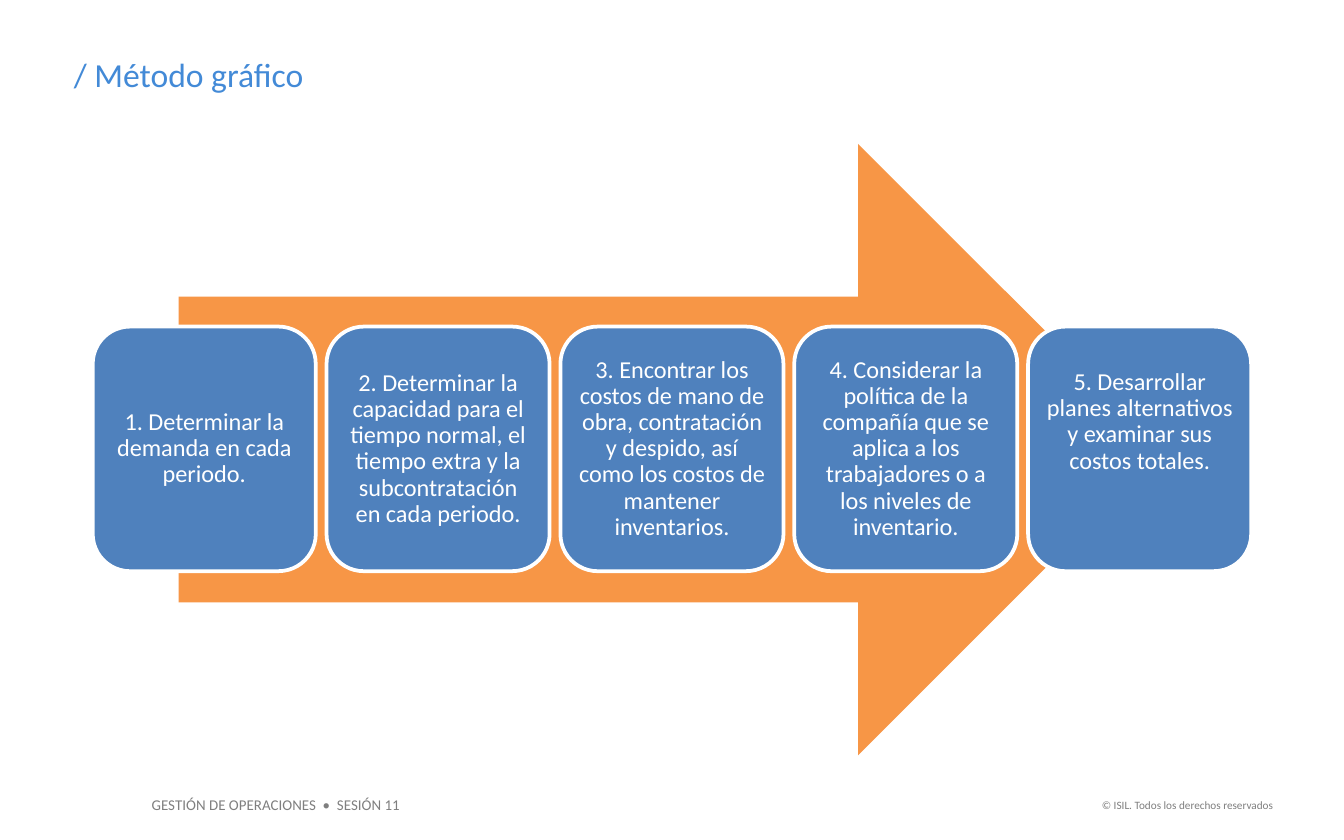
"""Build the graphic-method slide: five steps along a wide arrow."""
import pptx
import pptx.util
from pptx.dml.color import RGBColor
from pptx.enum.shapes import MSO_SHAPE
from pptx.enum.text import MSO_ANCHOR, PP_ALIGN

WHITE = RGBColor(0xFF, 0xFF, 0xFF)
GRAY = RGBColor(0x7F, 0x7F, 0x7F)
TITLE_BLUE = RGBColor(0x43, 0x8A, 0xD7)
STEP_BLUE = RGBColor(0x4F, 0x81, 0xBD)
ORANGE = RGBColor(0xF7, 0x96, 0x46)

WIDTH, HEIGHT = 10, 6.25
STEP_LEFT, STEP_TOP, STEP_WIDTH, STEP_HEIGHT = 0.69, 2.43, 1.66, 1.82
STEP_PITCH = 1.74
STEP_INSET, LAST_STEP_LIFT = 0.05, 0.4

STEPS = [
    "1. Determinar la demanda en cada periodo.",
    "2. Determinar la capacidad para el tiempo normal, el tiempo extra y la "
    "subcontratación en cada periodo.",
    "3. Encontrar los costos de mano de obra, contratación y despido, así como "
    "los costos de mantener inventarios.",
    "4. Considerar la política de la compañía que se aplica a los trabajadores "
    "o a los niveles de inventario.",
    "5. Desarrollar planes alternativos y examinar sus costos totales.",
]


def inches(*lengths):
    """Convert lengths in inches to slide units."""
    return [pptx.util.Inches(length) for length in lengths]


def write_text(box, text, *, size, color, align=PP_ALIGN.LEFT,
               anchor=MSO_ANCHOR.TOP, insets=(0.1, 0.05, 0.1, 0.05), spacing=1.0):
    """Put one formatted paragraph in a shape."""
    frame = box.text_frame
    frame.word_wrap = True
    frame.vertical_anchor = anchor
    (frame.margin_left, frame.margin_top,
     frame.margin_right, frame.margin_bottom) = inches(*insets)
    para = frame.paragraphs[0]
    para.alignment = align
    para.line_spacing = spacing
    span = para.add_run()
    span.text = text
    span.font.name = "Calibri"
    span.font.size = pptx.util.Pt(size)
    span.font.color.rgb = color


def add_title(page, text):
    """Move and fill the title placeholder."""
    title = page.shapes.title
    title.left, title.top, title.width, title.height = inches(0.45, 0.35, 7.88, 0.4)
    write_text(title, text, size=18, color=TITLE_BLUE)


def add_label(page, text, place, **style):
    """Add a small gray footer text."""
    box = page.shapes.add_textbox(*inches(*place))
    write_text(box, text, color=GRAY, **style)


def add_block(page, kind, place, fill, adjustments):
    """Add a filled preset shape without outline or shadow."""
    block = page.shapes.add_shape(kind, *inches(*place))
    for index, value in enumerate(adjustments):
        block.adjustments[index] = value
    block.shadow.inherit = False
    block.fill.solid()
    block.fill.fore_color.rgb = fill
    block.line.fill.background()
    return block


def add_step(page, column, text, lift=0):
    """Add one rounded step, its text raised by half the lift."""
    place = (STEP_LEFT + column * STEP_PITCH, STEP_TOP, STEP_WIDTH, STEP_HEIGHT)
    step = add_block(page, MSO_SHAPE.ROUNDED_RECTANGLE, place, STEP_BLUE, [0.167])
    step.line.color.rgb = WHITE
    step.line.width = pptx.util.Pt(2)
    write_text(step, text, size=13, color=WHITE, align=PP_ALIGN.CENTER,
               anchor=MSO_ANCHOR.MIDDLE, spacing=0.9,
               insets=(STEP_INSET, STEP_INSET, STEP_INSET, STEP_INSET + lift))


def main():
    """Build and save the deck."""
    deck = pptx.Presentation()
    deck.slide_width, deck.slide_height = inches(WIDTH, HEIGHT)
    page = deck.slides.add_slide(deck.slide_layouts[5])
    add_label(page, "GESTIÓN DE OPERACIONES  •  SESIÓN 11",
              (1.03, 5.87, 2.05, 0.24), size=8)
    add_label(page, "© ISIL. Todos los derechos reservados",
              (8.03, 5.89, 1.54, 0.2), size=6, align=PP_ALIGN.RIGHT)
    add_title(page, "/ Método gráfico")
    add_block(page, MSO_SHAPE.RIGHT_ARROW, (1.33, 1.07, 7.33, 4.55),
              ORANGE, [0.5, 0.5])
    for column, text in enumerate(STEPS):
        is_last = column == len(STEPS) - 1
        add_step(page, column, text, lift=LAST_STEP_LIFT if is_last else 0)
    deck.save("out.pptx")


if __name__ == "__main__":
    main()
